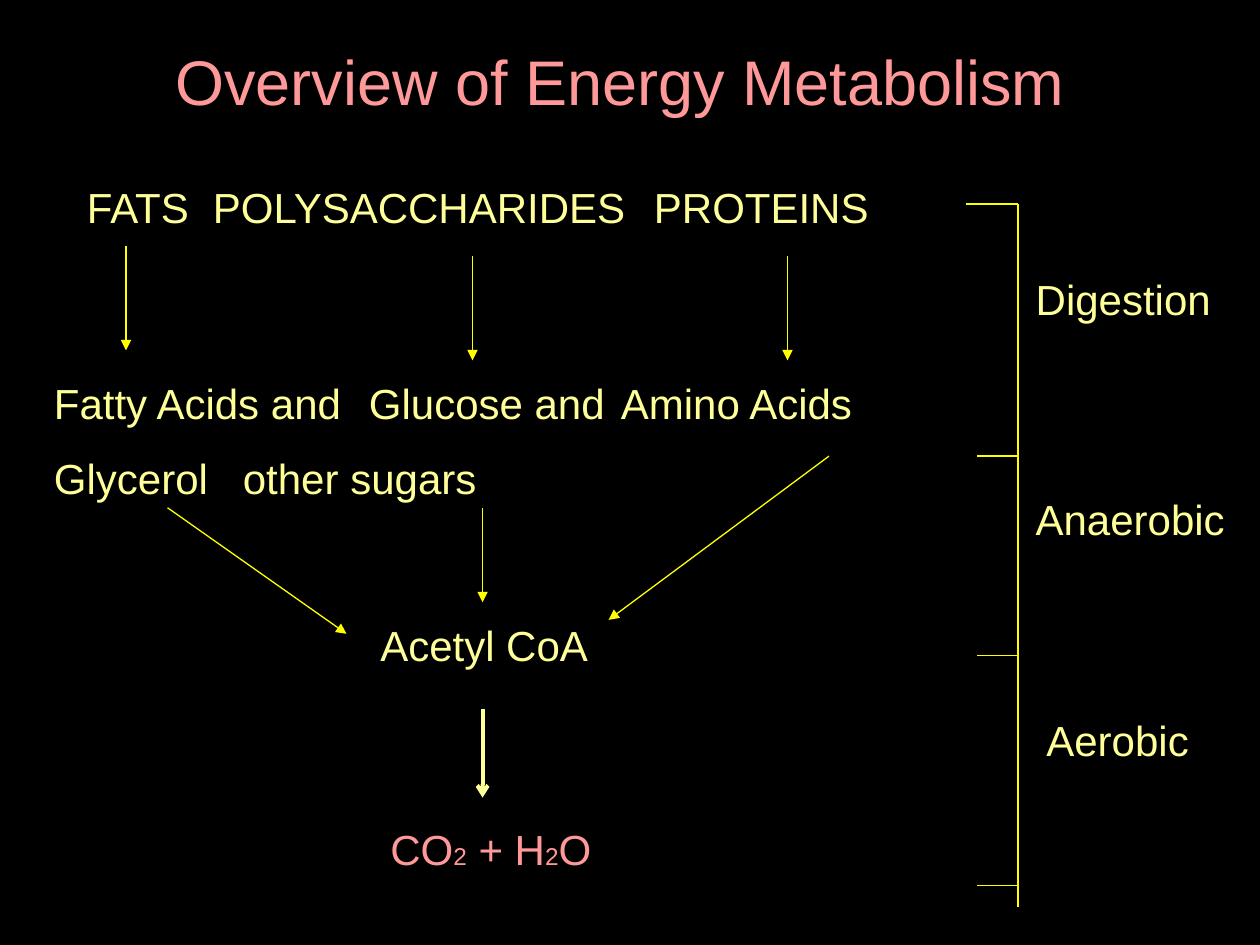
from dataclasses import dataclass

from lxml import etree
from pptx import Presentation
from pptx import util as u
from pptx.dml.color import RGBColor
from pptx.enum import shapes, text
from pptx.oxml import ns


@dataclass(frozen=True)
class Theme:
    back: RGBColor = RGBColor(0, 0, 0)
    rose: RGBColor = RGBColor(0xFF, 0x99, 0x99)
    cream: RGBColor = RGBColor(0xFF, 0xFF, 0x99)
    yellow: RGBColor = RGBColor(0xFF, 0xFF, 0)
    font: str = "Arial"
    head: float = 36
    base: float = 24
    thin: float = 0.75
    thick: float = 2.25
    gap: float = 13.8


@dataclass(frozen=True)
class Link:
    x1: float
    y1: float
    x2: float
    y2: float
    tip: str = "triangle"


@dataclass(frozen=True)
class Label:
    words: str
    x: float
    y: float
    w: float
    side: text.PP_ALIGN = text.PP_ALIGN.CENTER


T = Theme()


def add_sub(node, tag: str, **attrs: str):
    return etree.SubElement(node, ns.qn(tag), attrs)


def place(shape, x: float, y: float, w: float, h: float) -> None:
    shape.left, shape.top = u.Inches(x), u.Inches(y)
    shape.width, shape.height = u.Inches(w), u.Inches(h)


def add_run(para, words: str, color: RGBColor, size: float = T.base,
            shift: int = 0) -> None:
    run = para.add_run()
    run.text = words
    run.font.name, run.font.size = T.font, u.Pt(size)
    run.font.color.rgb = color
    if shift:
        run.font._element.set("baseline", str(shift))


def add_row(para, words: list[str], stops: list[float]) -> None:
    """Write words in columns set by tab stops."""
    props = para._p.get_or_add_pPr()
    props.set("marL", "0")
    props.set("indent", "0")
    add_sub(props, "a:buNone")
    tabs = add_sub(props, "a:tabLst")
    for stop in stops:
        add_sub(tabs, "a:tab", pos=str(u.Inches(stop)), algn="l")
    add_run(para, "\t".join(words), T.cream)


def add_box(slide, x: float, y: float, w: float, h: float = 0.51):
    frame = slide.shapes.add_textbox(*map(u.Inches, (x, y, w, h))).text_frame
    frame.word_wrap = True
    frame.auto_size = text.MSO_AUTO_SIZE.SHAPE_TO_FIT_TEXT
    return frame


def add_label(slide, label: Label) -> None:
    para = add_box(slide, label.x, label.y, label.w).paragraphs[0]
    para.alignment = label.side
    add_run(para, label.words, T.cream)


def add_link(slide, link: Link, color: RGBColor = T.yellow,
             width: float = T.thin) -> None:
    ends = map(u.Inches, (link.x1, link.y1, link.x2, link.y2))
    line = slide.shapes.add_connector(shapes.MSO_CONNECTOR.STRAIGHT, *ends)
    line.line.color.rgb, line.line.width = color, u.Pt(width)
    if link.tip:
        add_sub(line.line._get_or_add_ln(), "a:tailEnd", type=link.tip)
    add_sub(line._element.spPr, "a:effectLst")


def main() -> None:
    deck = Presentation()
    deck.slide_width, deck.slide_height = u.Inches(10), u.Inches(7.5)
    slide = deck.slides.add_slide(deck.slide_layouts[1])
    slide.background.fill.solid()
    slide.background.fill.fore_color.rgb = T.back

    # Title
    title = slide.shapes.title
    place(title, 0.42, 0.25, 9, 0.78)
    title.text_frame.auto_size = text.MSO_AUTO_SIZE.NONE
    title.text_frame.vertical_anchor = text.MSO_ANCHOR.MIDDLE
    para = title.text_frame.paragraphs[0]
    para.alignment = text.PP_ALIGN.CENTER
    add_run(para, "Overview of Energy Metabolism", T.rose, T.head)

    # Food classes
    body = slide.placeholders[1]
    place(body, 0.42, 1.39, 7.5, 4.02)
    frame = body.text_frame
    frame.auto_size = text.MSO_AUTO_SIZE.NONE
    frame.margin_left = u.Inches(0.27)
    para = frame.paragraphs[0]
    para.space_before = u.Pt(0)
    add_row(para, ["FATS", "POLYSACCHARIDES", "PROTEINS"], [1.54, 5.08])

    # Digestion products
    frame = add_box(slide, 0.33, 2.95, 7.17, 1.1)
    add_row(frame.paragraphs[0],
            ["Fatty Acids and", "Glucose and", "Amino Acids"], [2.73, 4.87])
    para = frame.add_paragraph()
    para.space_before = u.Pt(T.gap)
    add_row(para, ["Glycerol", "other sugars"], [2.78])

    # Stage names and the shared product
    for label in (
        Label("Digestion", 8, 2.12, 1.83),
        Label("Anaerobic", 7.92, 3.87, 2.1),
        Label("Aerobic", 7.58, 5.62, 2.58),
        Label("Acetyl CoA", 2.92, 4.87, 2.33, text.PP_ALIGN.LEFT),
    ):
        add_label(slide, label)

    # End products
    para = add_box(slide, 3, 6.49, 2).paragraphs[0]
    for words, shift in (("CO", 0), ("2", -25), (" + H", 0), ("2", -25),
                         ("O", 0)):
        add_run(para, words, T.rose, shift=shift)

    # Arrows from foods to products
    for x, y in ((1, 1.95), (3.75, 2.03), (6.25, 2.03)):
        add_link(slide, Link(x, y, x, y + 0.83))

    # Arrows that meet at the shared product
    for link in (Link(1.33, 4.03, 2.75, 5.03), Link(3.83, 4.03, 3.83, 4.78),
                 Link(6.58, 3.62, 4.83, 4.92)):
        add_link(slide, link)
    add_link(slide, Link(3.83, 5.63, 3.83, 6.33, "arrow"), T.cream, T.thick)

    # Stage bracket: spine pieces, then ticks
    spine = 8.08
    joints = (1.62, 3.62, 5.2, 7.2)
    for top, end in zip(joints, joints[1:]):
        add_link(slide, Link(spine, top, spine, end, ""))
    for x, y in ((7.67, 1.62), (7.75, 3.62), (7.75, 5.2), (7.75, 7.03)):
        add_link(slide, Link(spine, y, x, y, ""))

    deck.save("out.pptx")


if __name__ == "__main__":
    main()
